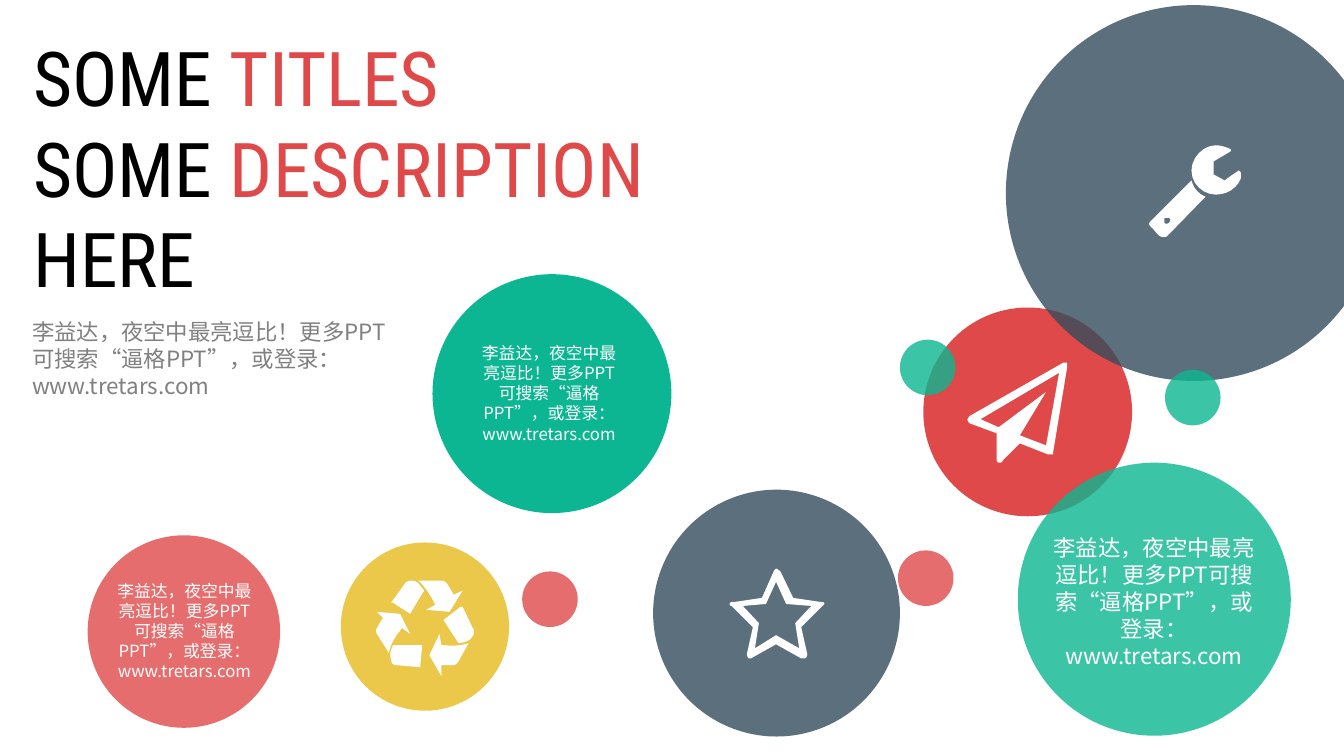
from dataclasses import dataclass

from lxml import etree
from pptx import Presentation
from pptx.dml.color import RGBColor
from pptx.enum.lang import MSO_LANGUAGE_ID
from pptx.enum.shapes import MSO_SHAPE
from pptx.enum.text import MSO_ANCHOR, MSO_AUTO_SIZE, PP_ALIGN
from pptx.oxml.ns import qn
from pptx.util import Cm, Pt

OVAL = MSO_SHAPE.OVAL
LEFT, CENTER = PP_ALIGN.LEFT, PP_ALIGN.CENTER
TOP = MSO_ANCHOR.TOP
FIT_SHAPE = MSO_AUTO_SIZE.SHAPE_TO_FIT_TEXT
CHINESE = MSO_LANGUAGE_ID.SIMPLIFIED_CHINESE

BLACK, WHITE, GRAY = "000000", "FFFFFF", "808080"
GREEN, RED, YELLOW, SLATE = "0CB692", "DF4949", "EBC74A", "334D5C"
TITLE_FONT, BODY_FONT = "Roboto Condensed", "Noto Sans CJK SC"
BLURB = "李益达，夜空中最亮逗比！更多PPT可搜索“逼格PPT”，或登录：www.tretars.com"
TITLE_LINES = [
    [("SOME ", BLACK), ("TITLES", RED)],
    [("SOME ", BLACK), ("DESCRIPTION", RED)],
    [("HERE", BLACK)],
]
ICON_UNIT = Cm(2.54) / 100
CURVE_STEPS = 6
DOT = 1.4


@dataclass
class Circle:
    left: float
    top: float
    diameter: float
    color: str
    opacity: int = 80


@dataclass
class Blurb:
    left: float
    top: float
    width: float
    height: float
    size: int
    color: str = WHITE
    alignment: PP_ALIGN = CENTER


@dataclass
class Icon:
    left: float
    top: float
    contours: list[list[tuple[int, ...]]]


CIRCLES = [
    Circle(10.9, 6.91, 6.02, GREEN, 100),
    Circle(23.27, 7.75, 5.26, RED, 100),
    Circle(8.59, 13.67, 4.24, YELLOW, 100),
    Circle(25.35, 0.13, 9.47, SLATE),
    Circle(16.46, 12.34, 6.22, SLATE),
    Circle(2.21, 13.49, 4.85, RED),
    Circle(25.65, 11.66, 6.88, GREEN),
    Circle(22.68, 8.56, DOT, GREEN),
    Circle(22.63, 13.87, DOT, RED),
    Circle(29.36, 9.32, DOT, GREEN),
    Circle(13.16, 14.4, DOT, RED),
]
BLURBS = [
    Blurb(0.56, 7.9, 9.5, 2.31, 16, GRAY, LEFT),
    Blurb(26.14, 13.34, 5.89, 3.68, 16),
    Blurb(2.62, 14.5, 4.06, 2.82, 12),
    Blurb(11.81, 8.51, 4.06, 2.82, 12),
]
RECYCLE = Icon(9.45, 14.63, [
    [(35, 53), (27, 47), (14, 62, 14, 72, 14, 72), (2, 53), (0, 49, 2, 47, 2, 47),
     (2, 47, 4, 43, 8, 37), (2, 31), (25, 33)],
    [(45, 84), (45, 86), (22, 84), (18, 84, 16, 82, 16, 78),
     (14, 74, 16, 68, 18, 64), (18, 64, 22, 64, 47, 64)],
    [(35, 33), (18, 22), (16, 22), (29, 4), (31, 0, 35, 0, 37, 0),
     (43, 0, 45, 6, 49, 10), (49, 10, 47, 12, 35, 33)],
    [(87, 10), (74, 31), (51, 29), (60, 24), (51, 6, 43, 0, 43, 0), (66, 0),
     (70, 0, 72, 4, 72, 4), (72, 4, 74, 6, 78, 14)],
    [(83, 80), (80, 84, 78, 84, 78, 84), (66, 84), (66, 95), (54, 74), (64, 53),
     (66, 64), (85, 66, 93, 62, 93, 62)],
    [(97, 47), (99, 49, 99, 53, 97, 55), (95, 60, 87, 62, 83, 62),
     (83, 62, 80, 58, 68, 39), (85, 26), (87, 26)],
])
PAPER_PLANE = Icon(24.38, 9.14, [
    [(99, 4), (85, 89), (85, 91), (80, 91), (52, 80), (35, 97),
     (35, 99, 33, 99, 33, 99), (31, 99), (29, 99, 29, 97, 29, 95), (29, 70),
     (2, 60), (2, 60, 0, 58, 0, 56), (2, 53), (95, 0), (99, 0)],
    [(91, 10), (13, 56), (31, 64), (78, 29), (52, 72), (78, 82)],
])
STAR = Icon(18.39, 14.33, [
    [(92, 37), (71, 58), (77, 85), (77, 87, 75, 89, 75, 89), (71, 89), (46, 75),
     (21, 89), (19, 89), (19, 89, 17, 87, 17, 85), (23, 58), (2, 37),
     (0, 37, 0, 35, 0, 35), (0, 33, 2, 33, 5, 33), (32, 29), (44, 2),
     (44, 2, 46, 0, 46, 0), (48, 0, 48, 2, 50, 2), (63, 29), (90, 33),
     (92, 33, 94, 33, 94, 35)],
    [(81, 37), (56, 35), (46, 13), (36, 35), (13, 37), (29, 54), (25, 79),
     (46, 66), (69, 79), (65, 54)],
])
WRENCH = Icon(28.96, 3.66, [
    [(19, 89), (17, 91, 17, 91, 15, 91), (13, 91, 11, 91, 9, 89), (3, 82),
     (3, 82, 0, 80, 0, 78), (0, 76, 3, 74, 3, 74), (42, 35),
     (44, 43, 50, 49, 56, 51)],
    [(17, 72), (15, 72, 15, 72, 15, 74), (15, 76, 15, 78, 17, 78),
     (19, 78, 21, 76, 21, 74), (21, 72, 19, 72, 17, 72)],
    [(91, 33), (87, 43, 77, 49, 66, 49), (54, 49, 42, 39, 42, 25),
     (42, 12, 54, 0, 66, 0), (71, 0, 77, 2, 81, 4), (81, 6), (64, 16), (64, 29),
     (75, 35), (77, 33, 89, 25, 89, 25), (91, 27), (91, 29, 91, 31, 91, 33)],
])


def paint(shape, color: str, opacity: int = 100) -> None:
    shape.shadow.inherit = False
    shape.line.fill.background()
    shape.fill.solid()
    shape.fill.fore_color.rgb = RGBColor.from_string(color)
    if opacity < 100:
        color_element = shape.fill._xPr.find(f".//{qn('a:srgbClr')}")
        etree.SubElement(color_element, qn("a:alpha")).set("val", str(opacity * 1000))


def format_run(run, font_name: str, size: int, color: str) -> None:
    run.font.size = Pt(size)
    run.font.name = font_name
    run.font.color.rgb = RGBColor.from_string(color)
    east_asian = etree.Element(qn("a:ea"), typeface=font_name)
    run.font._element.find(qn("a:latin")).addnext(east_asian)


def draw_title(slide) -> None:
    title = slide.shapes.title
    title.left, title.top, title.width, title.height = Cm(0.46), Cm(0.58), Cm(22.91), Cm(7.32)
    frame = title.text_frame
    frame.margin_left = frame.margin_right = Cm(0.38)
    frame.margin_top = frame.margin_bottom = Cm(0.2)
    frame.vertical_anchor = TOP
    frame.word_wrap = True
    frame.auto_size = FIT_SHAPE
    frame.text = "\n".join("".join(text for text, _ in line) for line in TITLE_LINES)
    for paragraph, line in zip(frame.paragraphs, TITLE_LINES):
        paragraph.alignment = LEFT
        paragraph.clear()
        for text, color in line:
            run = paragraph.add_run()
            run.text = text
            format_run(run, TITLE_FONT, 54, color)


def draw_circle(slide, circle: Circle) -> None:
    diameter = Cm(circle.diameter)
    shape = slide.shapes.add_shape(OVAL, Cm(circle.left), Cm(circle.top), diameter, diameter)
    paint(shape, circle.color, circle.opacity)


def draw_blurb(slide, blurb: Blurb) -> None:
    box = slide.shapes.add_textbox(
        Cm(blurb.left), Cm(blurb.top), Cm(blurb.width), Cm(blurb.height))
    frame = box.text_frame
    frame.word_wrap = True
    frame.auto_size = FIT_SHAPE
    frame.text = BLURB
    paragraph = frame.paragraphs[0]
    paragraph.alignment = blurb.alignment
    run = paragraph.runs[0]
    format_run(run, BODY_FONT, blurb.size, blurb.color)
    run.font.language_id = CHINESE


def trace(contour: list[tuple[int, ...]]) -> list[tuple[float, float]]:
    points = [contour[0]]
    for segment in contour[1:]:
        if len(segment) == 2:
            points.append(segment)
            continue
        start = points[-1]
        for step in range(1, CURVE_STEPS + 1):
            t = step / CURVE_STEPS
            u = 1 - t
            points.append(tuple(
                u**3 * start[axis] + 3 * u * u * t * segment[axis]
                + 3 * u * t * t * segment[axis + 2] + t**3 * segment[axis + 4]
                for axis in (0, 1)))
    return [(x * ICON_UNIT, y * ICON_UNIT) for x, y in points]


def draw_icon(slide, icon: Icon) -> None:
    first, *others = [trace(contour) for contour in icon.contours]
    builder = slide.shapes.build_freeform(*first[0])
    builder.add_line_segments(first[1:], close=True)
    for points in others:
        builder.move_to(*points[0])
        builder.add_line_segments(points[1:], close=True)
    paint(builder.convert_to_shape(Cm(icon.left), Cm(icon.top)), WHITE)


def main() -> None:
    presentation = Presentation()
    presentation.slide_width, presentation.slide_height = Cm(33.87), Cm(19.05)
    slide = presentation.slides.add_slide(presentation.slide_layouts[5])
    draw_title(slide)
    for circle in CIRCLES:
        draw_circle(slide, circle)
    for blurb in BLURBS:
        draw_blurb(slide, blurb)
    for icon in (RECYCLE, PAPER_PLANE, STAR, WRENCH):
        draw_icon(slide, icon)
    presentation.save("out.pptx")


if __name__ == "__main__":
    main()
